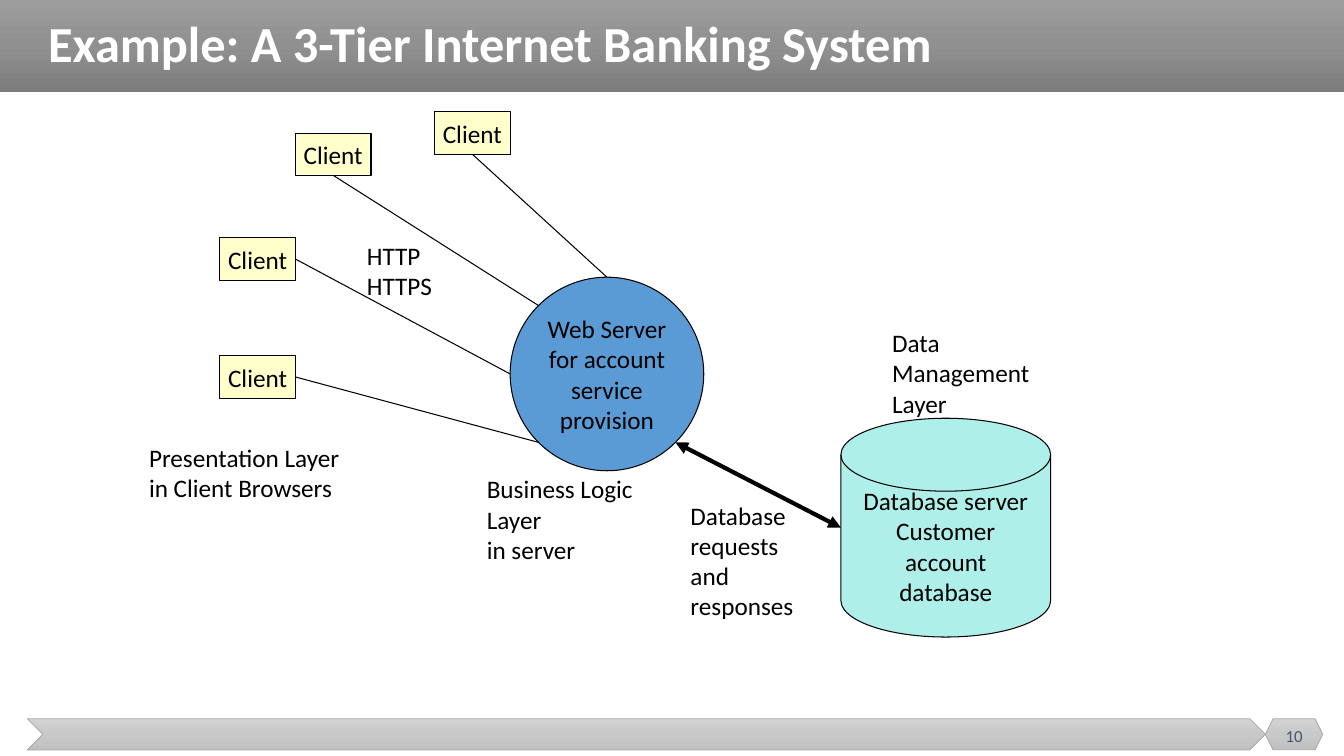
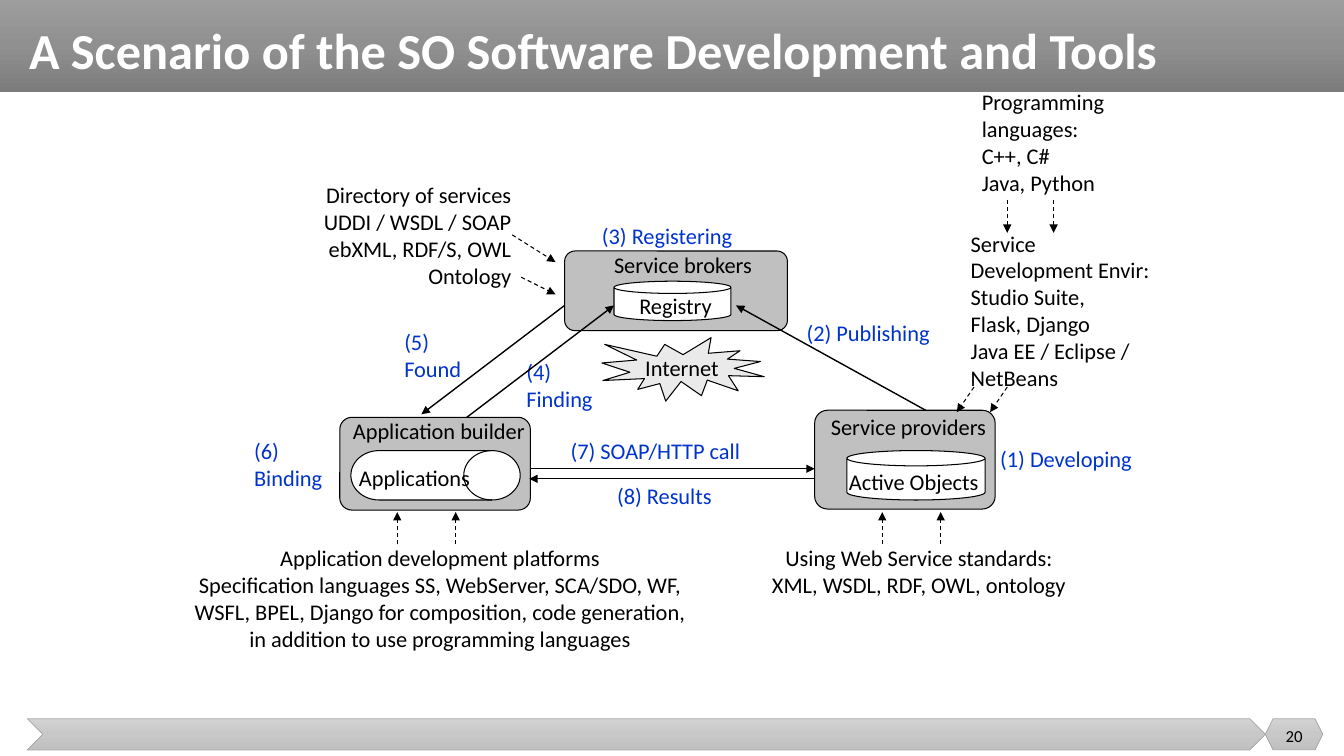
from copy import deepcopy
from math import cos, radians, sin

from lxml.etree import SubElement
from pptx import Presentation
from pptx.dml.color import RGBColor
from pptx.enum.dml import MSO_LINE
from pptx.enum.shapes import MSO_CONNECTOR, MSO_SHAPE as SHAPE
from pptx.enum.text import MSO_ANCHOR as ANCHOR, PP_ALIGN as ALIGN
from pptx.oxml.ns import qn
from pptx.util import Inches, Pt

FONT = "Calibri"
COLORS = {
    "black": "000000", "white": "FFFFFF", "slate": "44546A", "step": "0033CC",
    "client": "FFFFCC", "server": "5B9BD5", "database": "AFEFE9",
    "role": "C0C0C0", "internet": "EAEAEA", "edge": "A5A5A5",
}
BAND_STOPS = ("9D9D9D", "909090", "7C7C7C")
FOOTER_STOPS = ("D2D2D2", "C8C8C8", "C0C0C0")

# Slide 1: banking system
BANKING = {"title": "Example: A 3-Tier Internet Banking System", "number": "10",
           "title_at": (0.38, 0, 12.74, 0.91), "spacing": 0.9, "number_color": "slate"}
WEB_SERVER = "Web Server\nfor account\nservice\nprovision"
DATABASE = "Database server\nCustomer\naccount\ndatabase"
SERVER_CENTER, SERVER_RADIUS = (6.02, 3.71), 0.96
DATABASE_AT = (8.34, 4.15, 2.08, 2.17)
CLIENT_SIZE = (0.75, 0.42)
# left, top, side the link leaves from, angle where it meets the server
CLIENTS = [
    (4.31, 1.11, "bottom", 270),
    (2.93, 1.32, "bottom", 225),
    (2.18, 2.36, "right", 180),
    (2.18, 3.53, "right", 135),
]
# text, place, wraps
TIER_LABELS = [
    ("HTTP\nHTTPS", (3.54, 2.33, 0.89, 0.71), False),
    ("Database requests and responses", (6.75, 4.91, 1.35, 1.31), True),
    ("Presentation Layer\nin Client Browsers", (1.38, 4.34, 2.27, 0.71), False),
    ("Business Logic Layer\nin server", (4.73, 4.65, 2.03, 1.01), True),
    ("Data Management Layer", (8.75, 3.2, 1.9, 1.01), True),
]

# Slide 2: service-oriented development
SCENARIO = {"title": "A Scenario of the SO Software Development and Tools", "number": "20",
            "title_at": (0.19, 0.04, 12.5, 0.75), "spacing": 1.25, "number_color": "black"}
# name, box, name place, store shape, store box, store name, store name place
ROLES = [
    ("Service brokers", (5.6, 2.49, 2.21, 0.79), (6.09, 2.49, 1.46, 0.27),
     SHAPE.CAN, (6.09, 2.79, 1.16, 0.39), "Registry", (6.34, 2.9, 0.78, 0.27)),
    ("Application builder", (3.37, 4.14, 1.89, 0.92), (3.5, 4.14, 1.79, 0.27),
     SHAPE.FLOWCHART_DIRECT_ACCESS_STORAGE, (3.48, 4.47, 1.68, 0.49),
     "Applications", (3.56, 4.6, 1.17, 0.27)),
    ("Service providers", (8.08, 4.07, 1.79, 0.98), (8.24, 4.1, 1.63, 0.27),
     SHAPE.CAN, (8.4, 4.47, 1.37, 0.49), "Active Objects", (8.42, 4.64, 1.37, 0.27)),
]
STEPS = [
    ("(1) Developing", (9.92, 4.42, 1.36, 0.27)),
    ("(2) Publishing", (8, 3.17, 1.29, 0.27)),
    ("(3) Registering", (5.97, 2.2, 1.4, 0.27)),
    ("(4)\nFinding", (5.22, 3.55, 0.69, 0.54)),
    ("(5)\nFound", (4.01, 3.26, 0.6, 0.54)),
    ("(6)\nBinding", (2.52, 4.34, 0.72, 0.54)),
    ("(7) SOAP/HTTP call", (5.66, 4.34, 1.77, 0.27)),
    ("(8) Results", (6.12, 4.78, 1.02, 0.27)),
]
# text, place, alignment, wraps
TOOLS = [
    ("Service\nDevelopment Envir:\nStudio Suite,\nFlask, Django\nJava EE / Eclipse / NetBeans",
     (9.53, 2.23, 2.14, 1.72), ALIGN.LEFT, True),
    ("Programming\nlanguages:\nC++, C#\nJava, Python",
     (9.64, 0.83, 1.5, 1.18), ALIGN.LEFT, False),
    ("Application development platforms\n"
     "Specification languages SS, WebServer, SCA/SDO, WF, WSFL, BPEL, Django for "
     "composition, code generation, in addition to use programming languages",
     (1.73, 5.35, 5.27, 1.45), ALIGN.CENTER, True),
    ("Directory of services\nUDDI / WSDL / SOAP\nebXML, RDF/S, OWL\nOntology",
     (3.03, 1.75, 2.14, 1.18), ALIGN.RIGHT, False),
    ("Using Web Service standards:\nXML, WSDL, RDF, OWL, ontology",
     (7.45, 5.35, 3.33, 0.64), ALIGN.CENTER, False),
]
FLOWS = [
    ((5.6, 3.03), (4.18, 4.11)),
    ((4.63, 4.14), (6.09, 3.03)),
    ((9.18, 4.07), (7.3, 3.03)),
    ((5.27, 4.65), (8.08, 4.65)),
    ((8.08, 4.75), (5.25, 4.75)),
]
TOOL_ARROWS = [
    ((5.08, 2.33), (5.51, 2.6)),
    ((5.17, 2.75), (5.51, 2.92)),
    ((9.66, 3.84), (9.49, 4.09)),
    ((9.99, 3.84), (9.82, 4.09)),
]
TOOL_ARROWS += [((x, 1.98), (x, 2.31)) for x in (9.99, 10.45)]
TOOL_ARROWS += [((x, 5.4), (x, 5.08)) for x in (3.94, 4.52, 8.75, 9.33)]


def rgb(name):
    return RGBColor.from_string(COLORS[name])


def inches(values):
    return [Inches(value) for value in values]


def write(box, text, size, color="black", align=ALIGN.LEFT, anchor=ANCHOR.TOP,
          wrap=False, bold=False, spacing=None):
    frame = box.text_frame
    frame.word_wrap = wrap
    frame.vertical_anchor = anchor
    frame.text = text
    for para in frame.paragraphs:
        para.alignment = align
        if spacing:
            para.line_spacing = spacing
        for span in para.runs:
            span.font.name, span.font.size = FONT, Pt(size)
            span.font.bold = bold
            span.font.color.rgb = rgb(color)


def add_label(page, text, at, size, inset=True, **style):
    box = page.shapes.add_textbox(*inches(at))
    write(box, text, size, **style)
    if not inset:
        frame = box.text_frame
        frame.margin_left = frame.margin_right = 0
        frame.margin_top = frame.margin_bottom = 0


def add_block(page, kind, at, fill, text="", size=18, adjust=None):
    block = page.shapes.add_shape(kind, *inches(at))
    block.shadow.inherit = False
    block.fill.solid()
    block.fill.fore_color.rgb = rgb(fill)
    block.line.color.rgb = rgb("black")
    block.line.width = Pt(0.75)
    if adjust is not None:
        block.adjustments[0] = adjust
    if text:
        write(block, text, size, align=ALIGN.CENTER, anchor=ANCHOR.MIDDLE)


def add_gradient(page, kind, at, stops, edge=None):
    block = page.shapes.add_shape(kind, *inches(at))
    block.shadow.inherit = False
    block.fill.gradient()
    block.fill.gradient_angle = 270
    stop_list = block._element.spPr.find(".//" + qn("a:gsLst"))
    stop_list.insert(1, deepcopy(stop_list[0]))
    for index, (stop, color) in enumerate(zip(block.fill.gradient_stops, stops)):
        stop.position = index / 2
        stop.color.rgb = RGBColor.from_string(color)
    if edge:
        block.line.color.rgb = rgb(edge)
        block.line.width = Pt(0.5)
    else:
        block.line.fill.background()


def add_line(page, start, end, width=0.75, arrows=(), dashed=False):
    link = page.shapes.add_connector(MSO_CONNECTOR.STRAIGHT, *inches(start + end))
    link.line.color.rgb = rgb("black")
    link.line.width = Pt(width)
    if dashed:
        link.line.dash_style = MSO_LINE.DASH
    outline = link.line._get_or_add_ln()
    for arrow in arrows:
        SubElement(outline, qn("a:" + arrow), type="triangle")
    SubElement(link._element.spPr, qn("a:effectLst"))


def add_page(deck, info):
    """Blank slide with the shared title band and footer."""
    page = deck.slides.add_slide(deck.slide_layouts[6])
    add_gradient(page, SHAPE.RECTANGLE, (0, 0, 13.33, 0.91), BAND_STOPS)
    add_gradient(page, SHAPE.CHEVRON, (0.27, 7.13, 12.28, 0.31), FOOTER_STOPS, "edge")
    add_gradient(page, SHAPE.HEXAGON, (12.55, 7.13, 0.57, 0.31), FOOTER_STOPS, "edge")
    add_label(page, info["number"], (12.55, 7.1, 0.57, 0.4), 12, wrap=True,
              color=info["number_color"], align=ALIGN.CENTER, anchor=ANCHOR.MIDDLE)
    add_label(page, info["title"], info["title_at"], 36, color="white", bold=True,
              anchor=ANCHOR.MIDDLE, wrap=True, spacing=info["spacing"])
    return page


def server_point(angle):
    x, y = SERVER_CENTER
    return (x + SERVER_RADIUS * cos(radians(angle)), y + SERVER_RADIUS * sin(radians(angle)))


def build_banking(deck):
    page = add_page(deck, BANKING)
    x, y = SERVER_CENTER
    add_block(page, SHAPE.OVAL, (x - SERVER_RADIUS, y - SERVER_RADIUS,
                                 2 * SERVER_RADIUS, 2 * SERVER_RADIUS), "server", WEB_SERVER)
    # Clients and their links
    width, height = CLIENT_SIZE
    for left, top, side, angle in CLIENTS:
        add_block(page, SHAPE.RECTANGLE, (left, top, width, height), "client", "Client")
        if side == "bottom":
            start = (left + width / 2, top + height)
        else:
            start = (left + width, top + height / 2)
        add_line(page, start, server_point(angle))
    # Database
    add_block(page, SHAPE.FLOWCHART_MAGNETIC_DISK, DATABASE_AT, "database", DATABASE)
    left, top, _, height = DATABASE_AT
    add_line(page, server_point(45), (left, top + height / 2), 3, ("headEnd", "tailEnd"))
    for text, at, wrap in TIER_LABELS:
        add_label(page, text, at, 18, wrap=wrap)


def build_scenario(deck):
    page = add_page(deck, SCENARIO)
    # Roles with their stores
    for name, at, name_at, store, store_at, store_name, store_name_at in ROLES:
        add_block(page, SHAPE.ROUNDED_RECTANGLE, at, "role", adjust=0.13)
        add_block(page, store, store_at, "white", adjust=0.31 if store == SHAPE.CAN else None)
        add_label(page, name, name_at, 16, inset=False)
        add_label(page, store_name, store_name_at, 16, inset=False)
    add_block(page, SHAPE.EXPLOSION1, (5.97, 3.35, 1.61, 0.63), "internet", "Internet", 16)
    # Steps and tools
    for text, at in STEPS:
        add_label(page, text, at, 16, inset=False, color="step")
    for text, at, align, wrap in TOOLS:
        add_label(page, text, at, 16, align=align, wrap=wrap)
    # Arrows
    for start, end in FLOWS:
        add_line(page, start, end, 1, ("tailEnd",))
    for start, end in TOOL_ARROWS:
        add_line(page, start, end, arrows=("tailEnd",), dashed=True)


def main():
    deck = Presentation()
    deck.slide_width, deck.slide_height = Inches(13.33), Inches(7.5)
    build_banking(deck)
    build_scenario(deck)
    deck.save("out.pptx")


if __name__ == "__main__":
    main()
